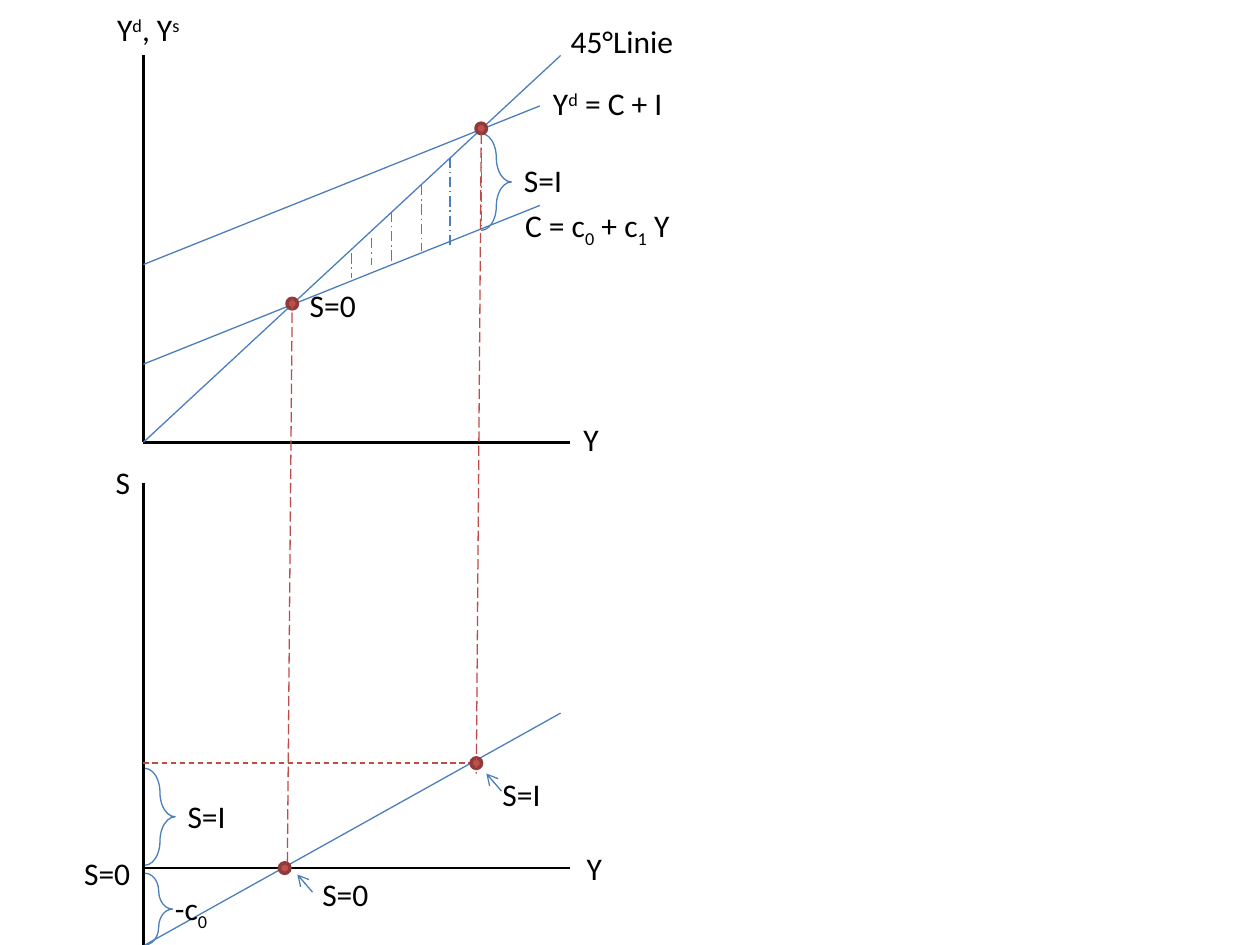
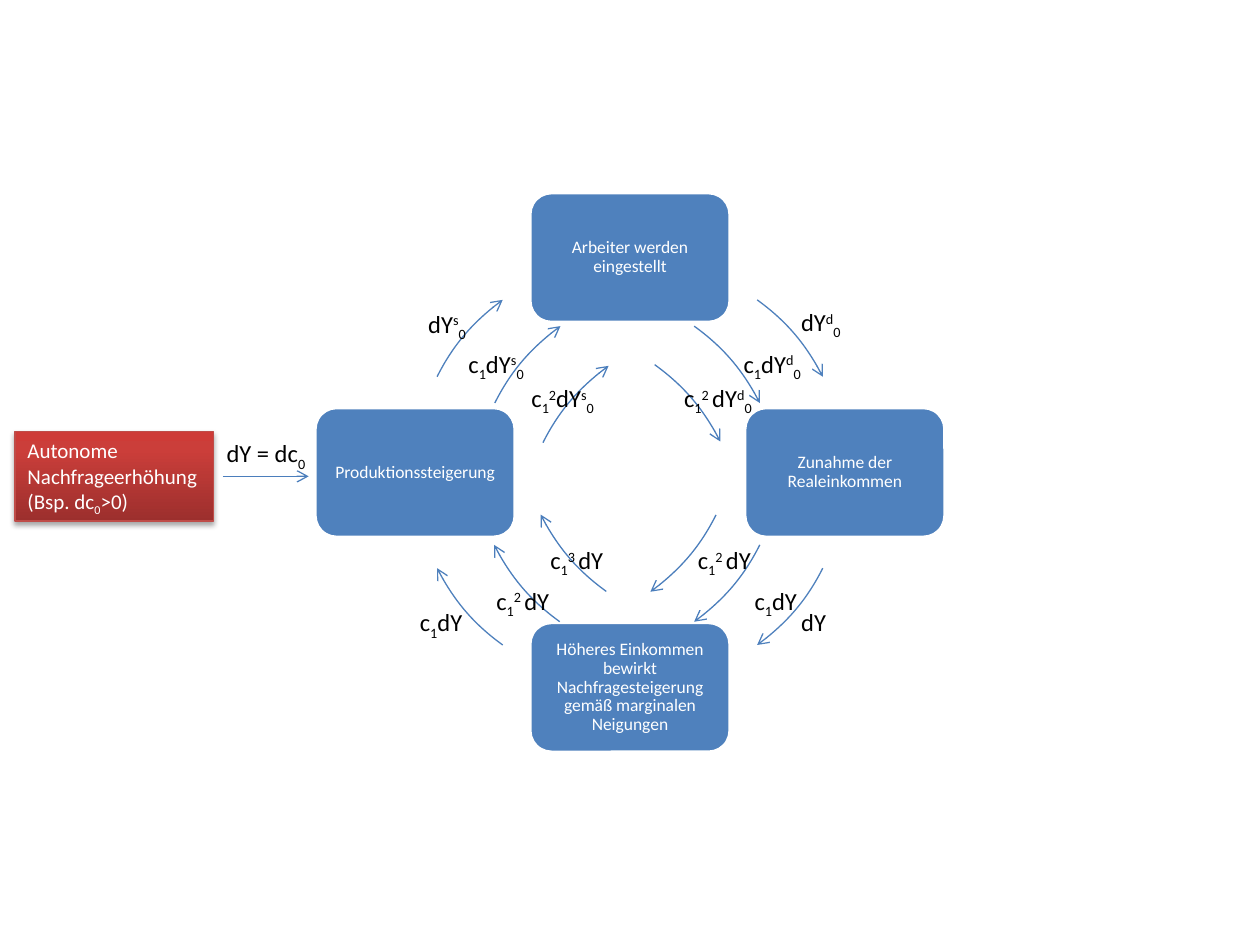
from copy import deepcopy

from pptx import Presentation
from pptx.dml.color import RGBColor
from pptx.enum import dml, shapes, text
from pptx.oxml import parse_xml
from pptx.oxml.ns import nsdecls, qn
from pptx.oxml.xmlchemy import OxmlElement
from pptx.util import Pt

FONT = "Calibri"
BLACK, WHITE = "000000", "FFFFFF"
BLUE, STEP_BLUE = "4B7EBC", "4F81BD"
RED, DOT_RED, DOT_EDGE = "BF4C48", "C0504D", "8E3B39"
LONG_DASH = dml.MSO_LINE.LONG_DASH
DASH_DOT = dml.MSO_LINE.LONG_DASH_DOT
SHAPE = shapes.MSO_SHAPE


def rgb(color):
    return RGBColor.from_string(color)


def set_line(line, color, width=0.75, dash=None, arrow=False):
    line.color.rgb = rgb(color)
    line.width = Pt(width)
    if dash:
        line.dash_style = dash
    if arrow:
        end = OxmlElement("a:tailEnd")
        end.set("type", "arrow")
        line._get_or_add_ln().append(end)


def add_line(s, x1, y1, x2, y2, color=BLUE, width=0.75, dash=None, arrow=False):
    c = s.shapes.add_connector(
        shapes.MSO_CONNECTOR.STRAIGHT, Pt(x1), Pt(y1), Pt(x2), Pt(y2))
    set_line(c.line, color, width, dash, arrow)
    c._element.spPr.append(OxmlElement("a:effectLst"))


def add_shape(s, kind, x, y, w, h, fill=None, edge=BLUE, width=0.75):
    sp = s.shapes.add_shape(kind, Pt(x), Pt(y), Pt(w), Pt(h))
    sp.shadow.inherit = False
    if fill:
        sp.fill.solid()
        sp.fill.fore_color.rgb = rgb(fill)
    else:
        sp.fill.background()
    set_line(sp.line, edge, width)
    return sp


def add_runs(p, marked, size, color):
    for part in marked.split("|"):
        baseline = {"^": "30000", "_": "-25000"}.get(part[0])
        r = p.add_run()
        r.text = part[1:] if baseline else part
        r.font.name = FONT
        r.font.size = Pt(size)
        r.font.color.rgb = rgb(color)
        if baseline:
            r._r.get_or_add_rPr().set("baseline", baseline)


def add_label(s, x, y, w, marked, size=18):
    sp = s.shapes.add_textbox(Pt(x), Pt(y), Pt(w), Pt(size * 1.6))
    tf = sp.text_frame
    tf.word_wrap = False
    tf.auto_size = text.MSO_AUTO_SIZE.SHAPE_TO_FIT_TEXT
    add_runs(tf.paragraphs[0], marked, size, BLACK)


def add_dot(s, x, y, d=6):
    add_shape(s, SHAPE.OVAL, x - d / 2, y - d / 2, d, d, DOT_RED, DOT_EDGE, 2)


def add_brace(s, x, y, w, h):
    sp = add_shape(s, SHAPE.RIGHT_BRACE, x, y, w, h)
    sp.adjustments[0] = 0.917


def add_arc(s, points, x, y, w, h, color):
    pts = [(Pt(px), Pt(py)) for px, py in points]
    fb = s.shapes.build_freeform(*pts[0])
    fb.add_line_segments(pts[1:], close=False)
    sp = fb.convert_to_shape()
    outline = next(sp._element.iter(qn("a:path")))
    for pt in outline.iter(qn("a:pt")):
        pt.set("x", str(int(pt.get("x")) + sp.left - Pt(x)))
        pt.set("y", str(int(pt.get("y")) + sp.top - Pt(y)))
    segments = list(outline.iter(qn("a:lnTo")))
    curve = OxmlElement("a:cubicBezTo")
    segments[0].addprevious(curve)
    for segment in segments:
        curve.append(segment[0])
        outline.remove(segment)
    outline.set("w", str(Pt(w)))
    outline.set("h", str(Pt(h)))
    sp.left, sp.top, sp.width, sp.height = Pt(x), Pt(y), Pt(w), Pt(h)
    sp.shadow.inherit = False
    sp.fill.background()
    set_line(sp.line, color, arrow=True)


def add_axes(s, x, y, height, zero, width=244):
    add_line(s, x, y, x, y + height, BLACK, 1.5)
    add_line(s, x, y + zero, x + width, y + zero, BLACK, 1.5)


def demand_diagram(s, x, y):
    add_axes(s, x, y, 221, 221)
    for start in (119.5, 176.4):
        add_line(s, x, y + start, x + 226.5, y + start - 90.7)
    add_line(s, x, y + 221, x + 238.4, y)
    for dx, top, bottom in [
            (118.9, 113, 127.4), (130.4, 104.4, 119.5), (141.9, 89.3, 119.5),
            (159, 74.1, 111.6), (175.2, 58.3, 110.1), (193, 44.6, 100.1)]:
        add_line(s, x + dx, y + top, x + dx, y + bottom, dash=DASH_DOT)
    add_brace(s, x + 193, y + 44.6, 17.3, 55.4)
    add_dot(s, x + 85, y + 141.8)
    add_dot(s, x + 193, y + 41.7)
    for dx, dy, w, marked in [
            (-22.2, -29.5, 51, "Y|^d|, Y|^s"),
            (244.2, 204.5, 23, "Y"),
            (237, -22.5, 74.2, "45°Linie"),
            (226.9, 12.9, 77.8, "Y|^d| = C + I"),
            (210.3, 56.9, 36.7, "S=I"),
            (211, 82.3, 100, "C = c|_0| + c|_1| Y"),
            (87.9, 128.1, 41, "S=0")]:
        add_label(s, x + dx, y + dy, w, marked)


def saving_diagram(s, x, y):
    add_axes(s, x, y, 264.2, 220.2)
    add_line(s, x + 238.4, y + 131.7, x + 0.8, y + 264.2)
    add_line(s, x, y + 160.3, x + 187.2, y + 160.3, RED, dash=dml.MSO_LINE.DASH)
    add_dot(s, x + 80.7, y + 220.3)
    add_dot(s, x + 190.2, y + 160.3)
    add_brace(s, x + 0.8, y + 163.3, 17.3, 55.4)
    add_brace(s, x + 0.8, y + 223.2, 15.8, 41)
    for dx, dy in [(204.6, 176.3), (96.6, 234)]:
        add_line(s, x + dx, y + dy, x + dx - 8.7, y + dy - 10.1, arrow=True)
    for dx, dy, w, marked in [
            (-23, -14.6, 23, "S"),
            (246.1, 205.9, 23, "Y"),
            (18.1, 176.2, 36.7, "S=I"),
            (-41, 208.8, 41, "S=0"),
            (10.9, 228.9, 33.8, "-c|_0"),
            (198, 163.4, 36.7, "S=I"),
            (95.1, 220.5, 41, "S=0")]:
        add_label(s, x + dx, y + dy, w, marked)


def guides(s):
    for ends in [(167, 170.6, 164.2, 496.1), (275, 76.3, 272.2, 442.1)]:
        add_line(s, *ends, RED, dash=LONG_DASH)


def step_box(s, cx, cy, caption, w=114.5, h=74.2):
    sp = add_shape(s, SHAPE.ROUNDED_RECTANGLE, cx - w / 2, cy - h / 2, w, h,
                   STEP_BLUE, WHITE, 2)
    tf = sp.text_frame
    tf.word_wrap = True
    tf.vertical_anchor = text.MSO_ANCHOR.MIDDLE
    tf.margin_left = tf.margin_right = tf.margin_top = tf.margin_bottom = Pt(3)
    p = tf.paragraphs[0]
    p.alignment = text.PP_ALIGN.CENTER
    p.line_spacing = 0.9
    add_runs(p, caption, 10, WHITE)


def multiplier_cycle(s, cx, cy, radius=122.8):
    for dx, dy, caption in [
            (0, -1, "Arbeiter werden eingestellt"),
            (1, 0, "Zunahme der Realeinkommen"),
            (0, 1, "Höheres Einkommen bewirkt Nachfragesteigerung "
                   "gemäß marginalen Neigungen"),
            (-1, 0, "Produktionssteigerung")]:
        step_box(s, cx + dx * radius, cy + dy * radius, caption)

    arc = [(72.7, -98.6), (88.6, -87.1), (101.5, -72), (110.2, -54.7)]
    circle, part_circle = (2 * radius, 2 * radius), (138.2, 136.1)
    for side, flip, inner_frame, shifts in [
            (1, 1, part_circle, [(-36, 15), (-58.6, 37)]),
            (1, -1, circle, [(-36, -13.3), (-61, -30.4)]),
            (-1, -1, circle, [(32.6, -13.3), (59.2, -30.6)]),
            (-1, 1, circle, [(33, 15), (60.5, 37.7)])]:
        for dx, dy in [(0, 0)] + shifts:
            points = [(cx + side * x + dx, cy + flip * y + dy) for x, y in arc]
            frame, color = (inner_frame, BLUE) if dx else (circle, STEP_BLUE)
            add_arc(s, points[::side * flip], cx + dx - radius,
                    cy + dy - radius, *frame, color)

    for dx, dy, w, marked in [
            (-122.4, -97.2, 36.7, "dY|^s|_0"),
            (-99.4, -74.2, 52.6, "c|_1|dY|^s|_0"),
            (-63.4, -54.7, 52.6, "c|_1|^2|dY|^s|_0"),
            (90.7, -97.9, 38.2, "dY|^d|_0"),
            (57.8, -74.2, 49, "c|_1|dY|^d|_0"),
            (23.8, -54.7, 56.2, "c|_1|^2 |dY|^d|_0"),
            (90.7, 73.6, 29.5, "dY"),
            (64.1, 61.2, 40.3, "c|_1|dY"),
            (31.7, 38, 46.8, "c|_1|^2 |dY"),
            (-127.2, 73.6, 41.8, "c|_1|dY"),
            (-83.5, 61.2, 51.8, "c|_1|^2 |dY"),
            (-52.6, 38, 52.6, "c|_1|^3 |dY")]:
        add_label(s, cx + dx, cy + dy, w, marked, 14)


def demand_trigger(s, x, y, w=113.3, h=51.1):
    sp = add_shape(s, SHAPE.RECTANGLE, x, y, w, h, edge=RED)
    sp.fill.gradient()
    sp.fill.gradient_angle = 90
    first = sp.fill.gradient_stops[0]._gs
    first.addnext(deepcopy(first))
    for stop, (position, color) in zip(
            sp.fill.gradient_stops,
            [(0, "9C2F2D"), (0.8, "CB3E3A"), (1, "CE3B37")]):
        stop.position = position
        stop.color.rgb = rgb(color)
    sp._element.spPr.find(qn("a:effectLst")).append(parse_xml(
        f'<a:outerShdw {nsdecls("a")} blurRad="{Pt(3.1)}" dist="{Pt(1.8)}" '
        'dir="5400000" rotWithShape="0"><a:srgbClr val="000000">'
        '<a:alpha val="35000"/></a:srgbClr></a:outerShdw>'))
    tf = sp.text_frame
    tf.word_wrap = True
    tf.auto_size = text.MSO_AUTO_SIZE.SHAPE_TO_FIT_TEXT
    tf.vertical_anchor = text.MSO_ANCHOR.TOP
    p = tf.paragraphs[0]
    p.alignment = text.PP_ALIGN.LEFT
    add_runs(p, "Autonome Nachfrageerhöhung (Bsp. dc|_0|>0)", 12, WHITE)
    add_line(s, x + 118.8, y + 25.5, x + 167.8, y + 25.5, arrow=True)
    add_label(s, x + 113.8, y + 0.3, 64.8, "dY = dc|_0", 14)


prs = Presentation()
prs.slide_width, prs.slide_height = Pt(720), Pt(540)
blank = prs.slide_layouts[6]

s = prs.slides.add_slide(blank)
demand_diagram(s, 82, 31.7)
saving_diagram(s, 82, 275.8)
guides(s)

s = prs.slides.add_slide(blank)
multiplier_cycle(s, 360, 270)
demand_trigger(s, 8.6, 246.7)

prs.save("out.pptx")
